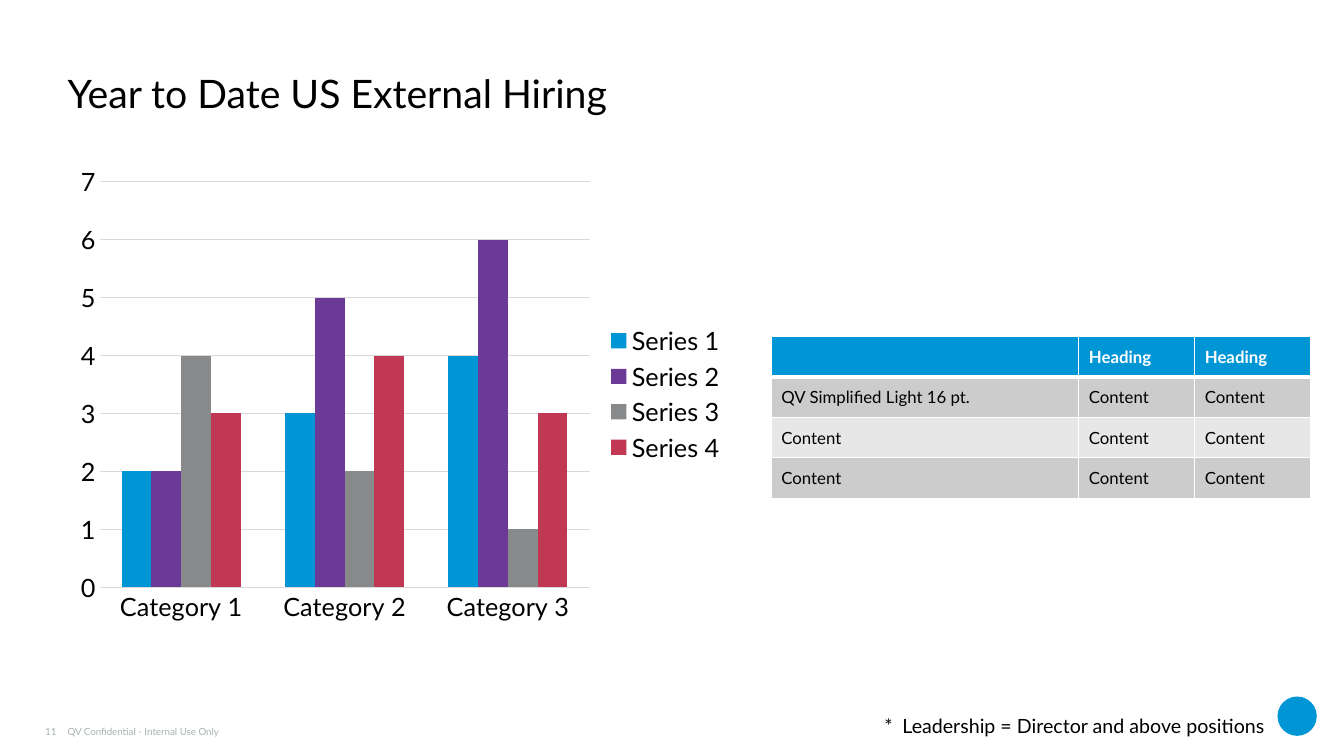
import pptx
import pptx.chart.data
import pptx.dml.color
import pptx.enum.chart
import pptx.enum.shapes
import pptx.enum.text
import pptx.oxml.ns
import pptx.util
import lxml.etree

Inches, Pt = pptx.util.Inches, pptx.util.Pt
ANCHOR = pptx.enum.text.MSO_ANCHOR
ALIGN = pptx.enum.text.PP_ALIGN

FONT = "Lato"
BLACK, WHITE, BLUE = "000000", "FFFFFF", "0096D6"
FOOTER_GREY, RULE_GREY = "A8B2B2", "D9D9D9"
MARGIN = 0.67


def color(hex_code):
    return pptx.dml.color.RGBColor.from_string(hex_code)


def add_text(text, box, size, ink=BLACK, anchor=ANCHOR.TOP, align=ALIGN.LEFT,
             wrap=True, spacing=1.0):
    """Add a one-paragraph text box without insets; box is in inches."""
    frame = slide.shapes.add_textbox(*map(Inches, box)).text_frame
    frame.margin_left = frame.margin_right = 0
    frame.margin_top = frame.margin_bottom = 0
    frame.word_wrap = wrap
    frame.vertical_anchor = anchor
    frame.text = text
    paragraph = frame.paragraphs[0]
    paragraph.alignment = align
    paragraph.line_spacing = spacing
    font = paragraph.runs[0].font
    font.name, font.size = FONT, Pt(size)
    font.color.rgb = color(ink)


presentation = pptx.Presentation()
presentation.slide_width = Inches(13.33)
presentation.slide_height = Inches(7.5)
slide = presentation.slides.add_slide(presentation.slide_layouts[6])

# Badge, title and footer
badge = slide.shapes.add_shape(
    pptx.enum.shapes.MSO_SHAPE.OVAL,
    Inches(12.67), Inches(6.91), Inches(0.39), Inches(0.39))
badge.shadow.inherit = False
badge.fill.solid()
badge.fill.fore_color.rgb = color(BLUE)
badge.line.fill.background()

add_text("Year to Date US External Hiring", (MARGIN, 0.33, 12, 0.83), 28,
         anchor=ANCHOR.BOTTOM, spacing=0.9)
add_text("11", (0.23, 7.08, 0.33, 0.24), 7, FOOTER_GREY, ANCHOR.BOTTOM,
         ALIGN.RIGHT)
add_text("QV Confidential - Internal Use Only", (MARGIN, 7.08, 5, 0.24), 7,
         FOOTER_GREY, ANCHOR.BOTTOM)

# Hiring chart
hiring = {
    "Series 1": ((2, 3, 4), BLUE),
    "Series 2": ((2, 5, 6), "6B3A97"),
    "Series 3": ((4, 2, 1), "87898B"),
    "Series 4": ((3, 4, 3), "C03854"),
}
hiring_data = pptx.chart.data.CategoryChartData()
hiring_data.categories = ["Category 1", "Category 2", "Category 3"]
for name, (values, _) in hiring.items():
    hiring_data.add_series(name, values)

chart = slide.shapes.add_chart(
    pptx.enum.chart.XL_CHART_TYPE.COLUMN_CLUSTERED,
    Inches(MARGIN), Inches(1.56), Inches(6.63), Inches(4.7),
    hiring_data).chart
chart.has_title = False
chart.font.name, chart.font.size = FONT, Pt(18)
chart.font.color.rgb = color(BLACK)
chart.has_legend = True
chart.legend.position = pptx.enum.chart.XL_LEGEND_POSITION.RIGHT
chart.legend.include_in_layout = False

columns = chart.plots[0]
columns.gap_width, columns.overlap = 150, 0
columns.vary_by_categories = False
for series, (_, series_color) in zip(columns.series, hiring.values()):
    series.format.fill.solid()
    series.format.fill.fore_color.rgb = color(series_color)

category_axis, value_axis = chart.category_axis, chart.value_axis
for axis in (category_axis, value_axis):
    axis.major_tick_mark = pptx.enum.chart.XL_TICK_MARK.NONE
    axis.minor_tick_mark = pptx.enum.chart.XL_TICK_MARK.NONE
value_axis.minimum_scale, value_axis.maximum_scale = 0, 7
value_axis.major_unit = 1
value_axis.has_major_gridlines = True
value_axis.format.line.fill.background()
for rule in (category_axis.format.line, value_axis.major_gridlines.format.line):
    rule.color.rgb = color(RULE_GREY)
    rule.width = Pt(0.75)

# Content table
table_rows = [
    ("", "Heading", "Heading"),
    ("QV Simplified Light 16 pt.", "Content", "Content"),
    ("Content", "Content", "Content"),
    ("Content", "Content", "Content"),
]
column_widths = (3.05, 1.15, 1.15)
row_height = 0.4
table = slide.shapes.add_table(
    len(table_rows), len(column_widths), Inches(7.65), Inches(3.34),
    Inches(sum(column_widths)), Inches(row_height * len(table_rows))).table
for column, width in zip(table.columns, column_widths):
    column.width = Inches(width)

for row, texts in enumerate(table_rows):
    table.rows[row].height = Inches(row_height)
    is_header = row == 0
    for column, text in enumerate(texts):
        cell = table.cell(row, column)
        cell.vertical_anchor = ANCHOR.MIDDLE
        cell.margin_left = cell.margin_right = Inches(0.1)
        cell.margin_top = cell.margin_bottom = Inches(0.1 if text else 0)
        cell_properties = cell._tc.get_or_add_tcPr()
        for side in "LRTB":
            under_header = (row, side) in ((0, "B"), (1, "T"))
            border = lxml.etree.SubElement(
                cell_properties, pptx.oxml.ns.qn(f"a:ln{side}"),
                w=str(Pt(3 if under_header else 1)))
            border_fill = lxml.etree.SubElement(
                border, pptx.oxml.ns.qn("a:solidFill"))
            lxml.etree.SubElement(
                border_fill, pptx.oxml.ns.qn("a:srgbClr"), val=WHITE)
        cell.fill.solid()
        band = "CCCCCC" if row % 2 else "E7E7E7"
        cell.fill.fore_color.rgb = color(BLUE if is_header else band)
        if text:
            cell.text_frame.text = text
            font = cell.text_frame.paragraphs[0].runs[0].font
            font.name, font.size, font.bold = FONT, Pt(12), is_header
            font.color.rgb = color(WHITE if is_header else BLACK)

# Footnote, with its two-space gap made by a tab stop
add_text("*\tLeadership = Director and above positions",
         (8.77, 7.11, 4.78, 0.42), 14, spacing=0.9)
footnote = slide.shapes[-1].text_frame.paragraphs[0]
tab_stops = lxml.etree.SubElement(
    footnote._p.get_or_add_pPr(), pptx.oxml.ns.qn("a:tabLst"))
lxml.etree.SubElement(tab_stops, pptx.oxml.ns.qn("a:tab"),
                      pos=str(Inches(0.18)), algn="l")

presentation.save("out.pptx")
